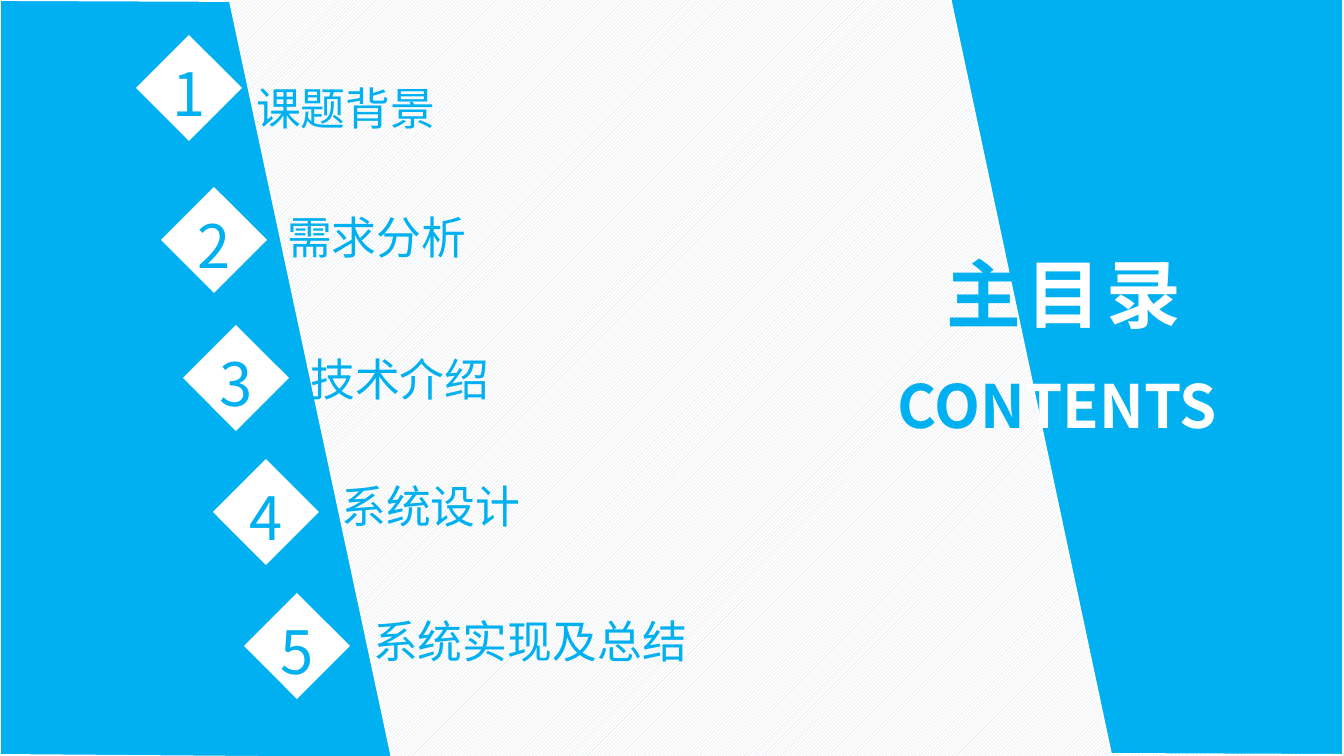
"""Build the contents slide with two slanted panels and five numbered topics."""
from dataclasses import dataclass

from pptx import Presentation
from pptx import util as u
from pptx.dml.color import RGBColor
from pptx.enum import dml, shapes, text
from pptx.oxml.ns import qn

PX = 914400 / 134.4
FONT = "Noto Sans CJK SC"
COLORS = {"blue": "00B0F0", "white": "FFFFFF", "hatch": "D6DCE5"}
DIAMOND = 106
NUMBER_WIDTH, NUMBER_HEIGHT, NUMBER_DROP = 76, 86, 15
LABEL_HEIGHT = 67


@dataclass(frozen=True)
class Topic:
    label: str
    diamond: tuple[int, int]
    label_at: tuple[int, int]
    label_width: int
    wrap: bool = False


TOPICS = [
    Topic("课题背景", (136, 35), (243, 74), 402, True),
    Topic("需求分析", (161, 187), (274, 203), 465, True),
    Topic("技术介绍", (183, 325), (297, 345), 206),
    Topic("系统设计", (213, 459), (328, 472), 206),
    Topic("系统实现及总结", (244, 593), (360, 607), 340),
]
PANELS = [
    [(1343, -1), (950, -3), (1111, 754), (1343, 755)],
    [(0, 755), (392, 758), (230, 1), (0, 0)],
]


def px(*values: int) -> list[int]:
    return [round(value * PX) for value in values]


def color(name: str) -> RGBColor:
    return RGBColor.from_string(COLORS[name])


def write(box, parts: list[tuple[str, str]], size: int, bold: bool = False,
          spacing: int = 0, wrap: bool = False, centred: bool = False) -> None:
    frame = box.text_frame
    frame.word_wrap = wrap
    frame.auto_size = text.MSO_AUTO_SIZE.SHAPE_TO_FIT_TEXT
    frame.vertical_anchor = text.MSO_ANCHOR.TOP
    para = frame.paragraphs[0]
    para.alignment = text.PP_ALIGN.CENTER if centred else text.PP_ALIGN.LEFT
    para.space_before = u.Pt(0)
    for words, shade in parts:
        span = para.add_run()
        span.text = words
        span.font.size = u.Pt(size)
        span.font.bold = bold
        span.font.name = FONT
        span.font.color.rgb = color(shade)
        props = span.font._element
        east_asian = props.makeelement(qn("a:ea"), {"typeface": FONT})
        props.find(qn("a:latin")).addnext(east_asian)
        if spacing:
            props.set("spc", str(spacing * 100))


def draw_panel(page, corners: list[tuple[int, int]]):
    builder = page.shapes.build_freeform(*corners[0], scale=PX)
    builder.add_line_segments(corners[1:], close=True)
    panel = builder.convert_to_shape()
    panel.shadow.inherit = False
    panel.fill.solid()
    panel.fill.fore_color.rgb = color("blue")
    panel.line.color.rgb = color("white")
    panel.line.width = u.Pt(1)
    return panel


def place_heading(box, area: tuple[int, int, int, int]) -> None:
    box.left, box.top, box.width, box.height = px(*area)


def draw_topic(page, number: int, topic: Topic) -> None:
    label = page.shapes.add_textbox(*px(*topic.label_at, topic.label_width, LABEL_HEIGHT))
    write(label, [(topic.label, "blue")], 24, wrap=topic.wrap)
    left, top = topic.diamond
    badge = page.shapes.add_group_shape()
    diamond = badge.shapes.add_shape(
        shapes.MSO_SHAPE.DIAMOND, *px(left, top, DIAMOND, DIAMOND))
    diamond.shadow.inherit = False
    diamond.fill.solid()
    diamond.fill.fore_color.rgb = color("white")
    diamond.line.fill.background()
    number_left = left + (DIAMOND - NUMBER_WIDTH) // 2
    digit = badge.shapes.add_textbox(
        *px(number_left, top + NUMBER_DROP, NUMBER_WIDTH, NUMBER_HEIGHT))
    write(digit, [(str(number), "blue")], 32, centred=True)


def main() -> None:
    deck = Presentation()
    deck.slide_width, deck.slide_height = px(1344, 756)
    page = deck.slides.add_slide(deck.slide_layouts[0])
    backdrop = page.background.fill
    backdrop.patterned()
    backdrop.pattern = dml.MSO_PATTERN.LIGHT_UPWARD_DIAGONAL
    backdrop.fore_color.rgb = color("hatch")
    backdrop.back_color.rgb = color("white")

    title, subtitle = page.placeholders
    for corners in PANELS:
        title.element.addprevious(draw_panel(page, corners).element)
    place_heading(title, (933, 241, 270, 103))
    write(title, [("主", "blue"), ("目录", "white")], 40, bold=True, spacing=3)
    place_heading(subtitle, (884, 362, 364, 86))
    write(subtitle, [("CON", "blue"), ("TENTS", "white")], 32, bold=True)

    for number, topic in enumerate(TOPICS, start=1):
        draw_topic(page, number, topic)
    deck.save("out.pptx")


if __name__ == "__main__":
    main()
